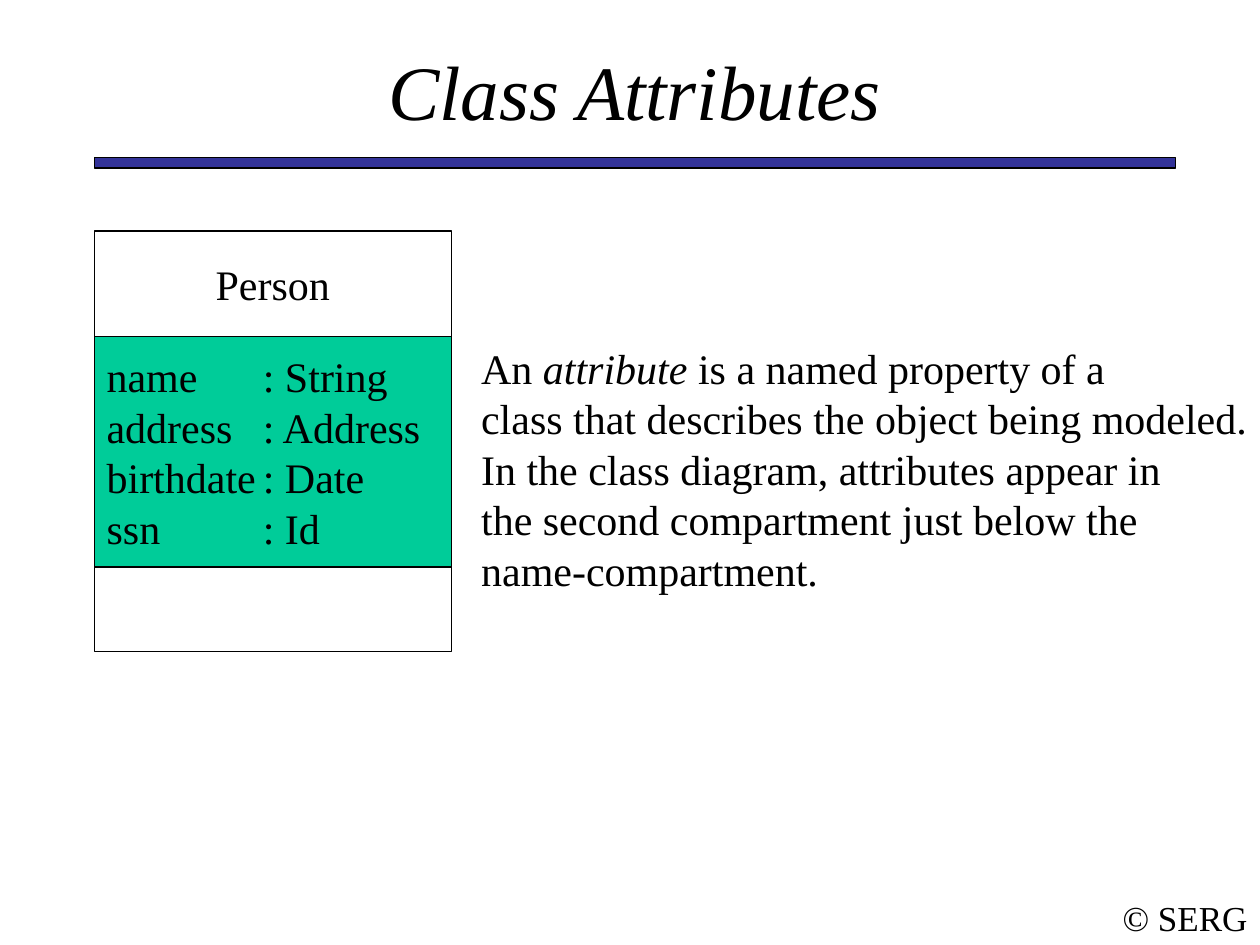
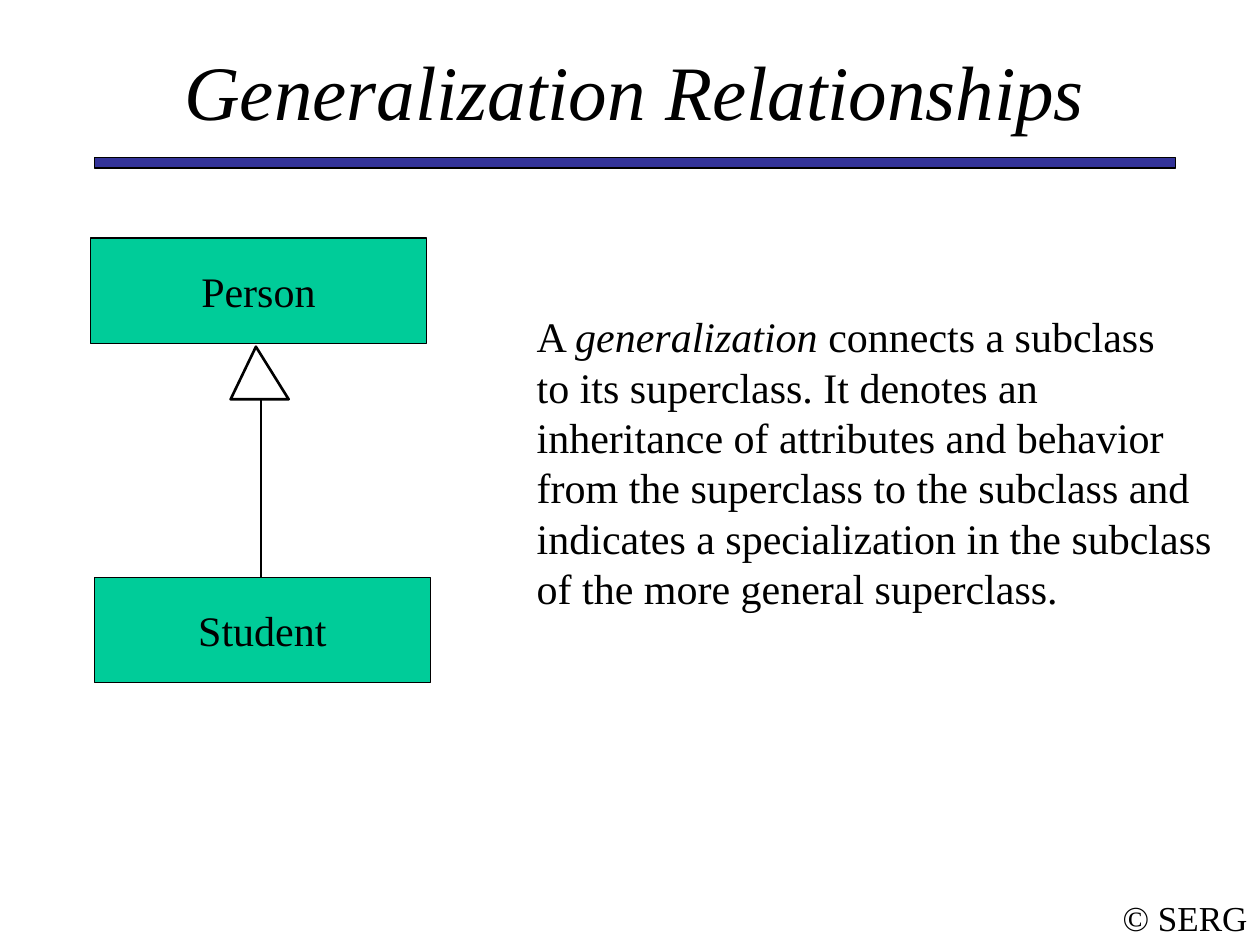
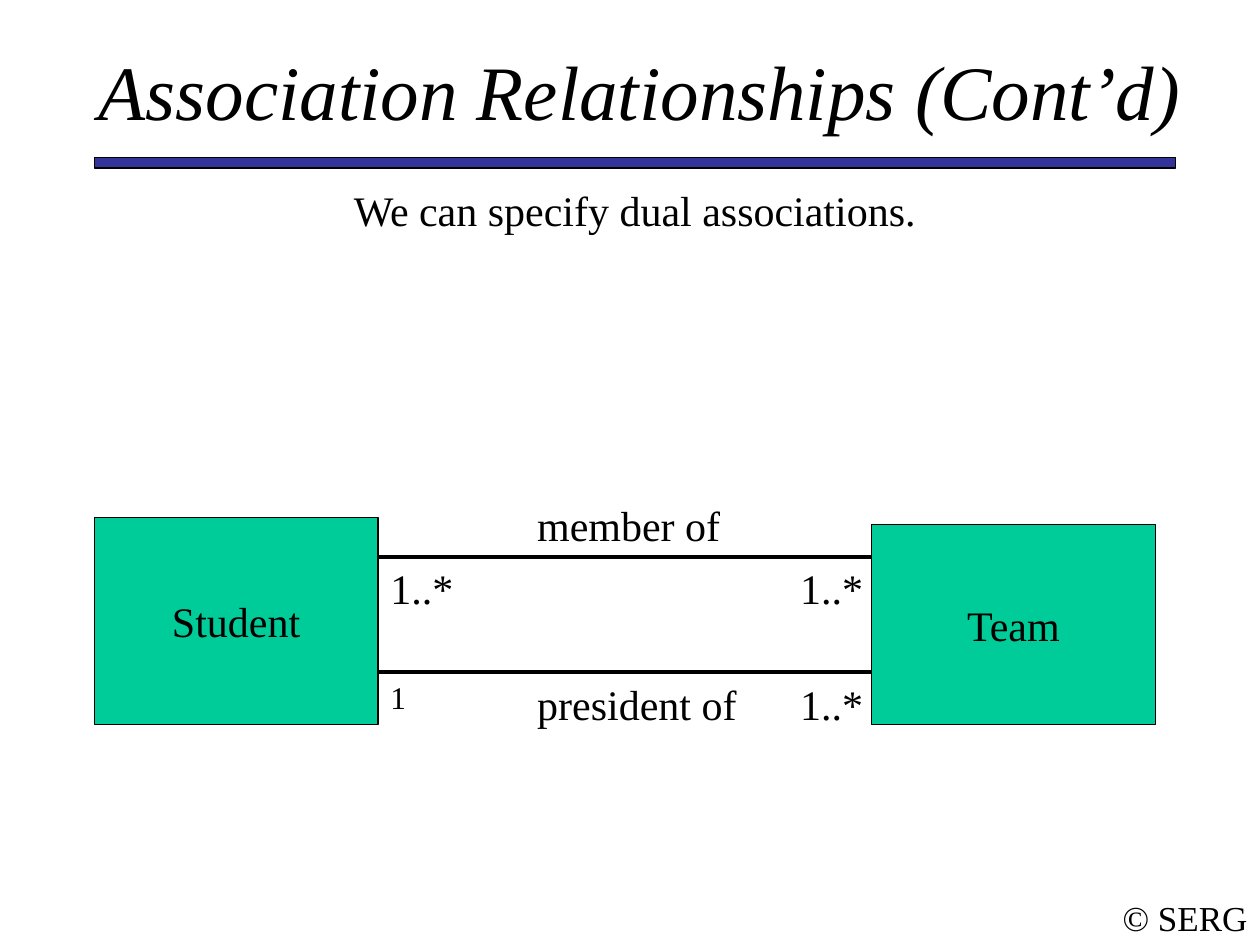
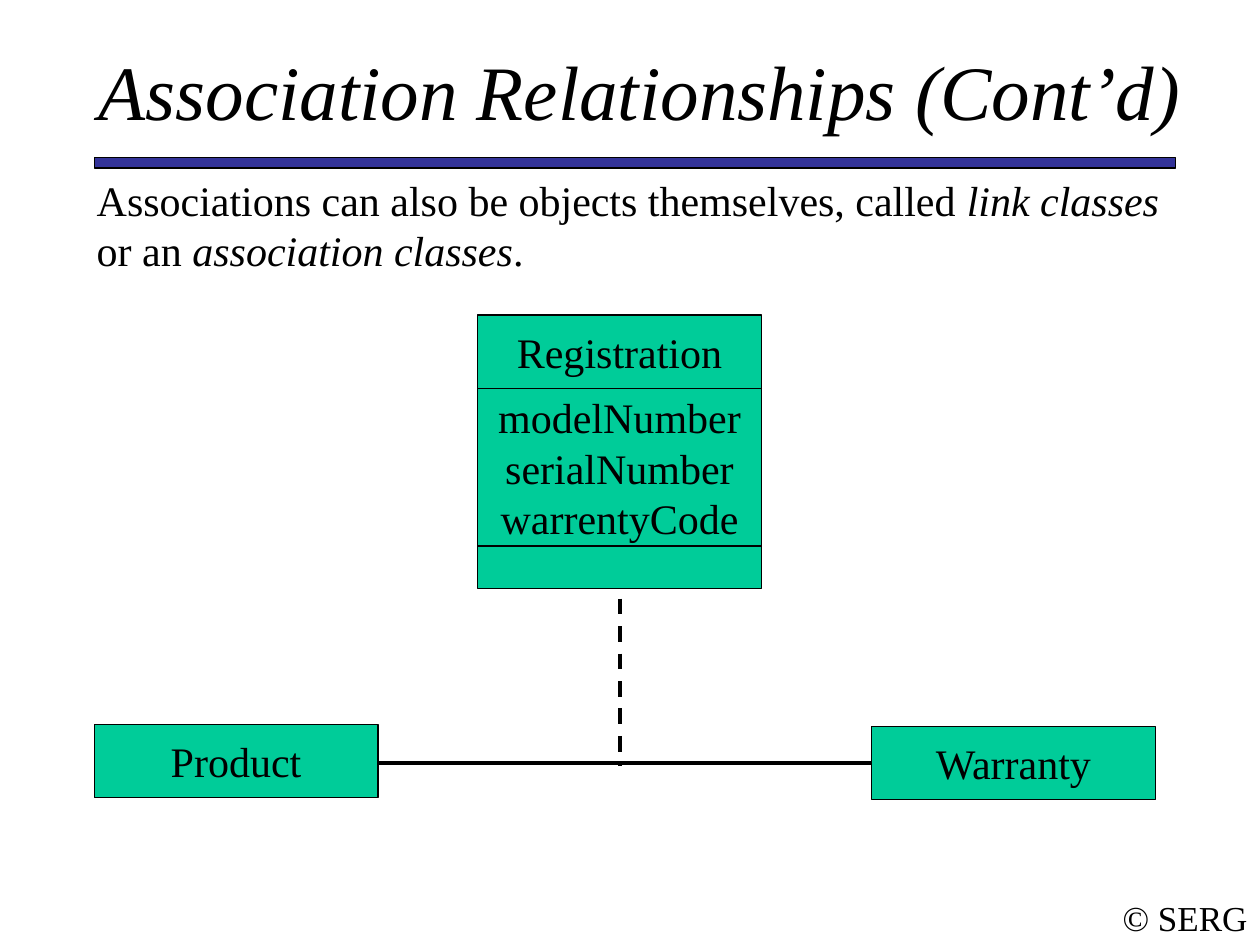
from dataclasses import dataclass
from typing import Optional

import pptx
import pptx.dml.color
import pptx.enum.dml
import pptx.enum.shapes
import pptx.enum.text
import pptx.oxml.ns
import pptx.shapes.base
import pptx.slide
import pptx.text.text
import pptx.util
from lxml import etree
from pptx.util import Cm

Align = pptx.enum.text.PP_ALIGN
Anchor = pptx.enum.text.MSO_ANCHOR
RGB = pptx.dml.color.RGBColor


@dataclass(frozen=True)
class Theme:
    font: str = "Times New Roman"
    ink: RGB = RGB(0x00, 0x00, 0x00)
    paper: RGB = RGB(0xFF, 0xFF, 0xFF)
    rule: RGB = RGB(0x33, 0x33, 0x99)
    highlight: RGB = RGB(0x00, 0xCC, 0x99)
    title_size: float = 44
    body_size: float = 24
    footer_size: float = 20
    small_size: float = 18
    outline: float = 0.75
    arrow_line: float = 1.5
    link_line: float = 2.25


THEME = Theme()


@dataclass(frozen=True)
class Area:
    """A rectangle in centimetres."""
    left: float
    top: float
    width: float
    height: float

    def lengths(self) -> tuple[Cm, Cm, Cm, Cm]:
        return Cm(self.left), Cm(self.top), Cm(self.width), Cm(self.height)


@dataclass(frozen=True)
class Caption:
    """Free text; words between underscores are set in italics."""
    area: Area
    lines: tuple[str, ...]
    size: float = THEME.body_size
    align: Align = Align.LEFT
    anchor: Anchor = Anchor.TOP
    wrap: bool = True
    grow: bool = True
    italic: bool = False


@dataclass(frozen=True)
class Compartment:
    height: float
    lines: tuple[str, ...] = ()
    fill: RGB = THEME.highlight
    tab: Optional[float] = None  # left-aligned text with a tab stop here


@dataclass(frozen=True)
class ClassBox:
    """A class, drawn as compartments stacked from the top."""
    left: float
    top: float
    width: float
    compartments: tuple[Compartment, ...]


@dataclass(frozen=True)
class Link:
    start: tuple[float, float]
    end: tuple[float, float]
    width: float = THEME.link_line
    dashed: bool = False


MARGIN = 1.9
RULE_AREA = Area(MARGIN, 3.18, 21.8, 0.21)
TITLE_AREA = Area(MARGIN, 1.06, 21.8, 1.48)
WIDE_TITLE_AREA = Area(1.7, 1.06, 22.42, 1.48)
FOOTER = Caption(Area(22.38, 17.94, 3.02, 1.11), ("© SERG",), THEME.footer_size,
                 Align.CENTER, Anchor.MIDDLE, wrap=False)

# Association diagrams: two classes at the sides with links between them.
END_WIDTH = 5.72
LEFT_END = MARGIN
RIGHT_END = 17.57
LINK_START = LEFT_END + END_WIDTH


def write_lines(frame: pptx.text.text.TextFrame, lines: tuple[str, ...], size: float,
                align: Align, italic: bool = False, tab: Optional[float] = None) -> None:
    for index, line in enumerate(lines):
        paragraph = frame.paragraphs[0] if index == 0 else frame.add_paragraph()
        if tab is not None:
            stops = etree.SubElement(paragraph._p.get_or_add_pPr(),
                                     pptx.oxml.ns.qn("a:tabLst"))
            etree.SubElement(stops, pptx.oxml.ns.qn("a:tab"), pos=str(Cm(tab)), algn="l")
        paragraph.alignment = align
        for part, words in enumerate(line.split("_")):
            run = paragraph.add_run()
            run.text = words
            run.font.name = THEME.font
            run.font.size = pptx.util.Pt(size)
            run.font.color.rgb = THEME.ink
            run.font.italic = italic or part % 2 == 1


def paint(shape: pptx.shapes.base.BaseShape, fill: RGB, width: float) -> None:
    shape.shadow.inherit = False
    shape.fill.solid()
    shape.fill.fore_color.rgb = fill
    shape.line.color.rgb = THEME.ink
    shape.line.width = pptx.util.Pt(width)


def draw_rectangle(slide: pptx.slide.Slide, area: Area,
                   fill: RGB) -> pptx.shapes.base.BaseShape:
    rectangle = slide.shapes.add_shape(pptx.enum.shapes.MSO_SHAPE.RECTANGLE,
                                       *area.lengths())
    paint(rectangle, fill, THEME.outline)
    return rectangle


def draw_caption(slide: pptx.slide.Slide, caption: Caption) -> None:
    frame = slide.shapes.add_textbox(*caption.area.lengths()).text_frame
    frame.word_wrap = caption.wrap
    frame.vertical_anchor = caption.anchor
    if caption.grow:
        frame.auto_size = pptx.enum.text.MSO_AUTO_SIZE.SHAPE_TO_FIT_TEXT
    write_lines(frame, caption.lines, caption.size, caption.align, caption.italic)


def draw_class(slide: pptx.slide.Slide, box: ClassBox) -> None:
    top = box.top
    for part in box.compartments:
        area = Area(box.left, top, box.width, part.height)
        frame = draw_rectangle(slide, area, part.fill).text_frame
        frame.word_wrap = True
        frame.vertical_anchor = Anchor.MIDDLE
        align = Align.CENTER if part.tab is None else Align.LEFT
        write_lines(frame, part.lines, THEME.body_size, align, tab=part.tab)
        top += part.height


def draw_link(slide: pptx.slide.Slide, link: Link) -> None:
    connector = slide.shapes.add_connector(
        pptx.enum.shapes.MSO_CONNECTOR.STRAIGHT,
        *(Cm(value) for value in link.start + link.end))
    connector.line.color.rgb = THEME.ink
    connector.line.width = pptx.util.Pt(link.width)
    if link.dashed:
        connector.line.dash_style = pptx.enum.dml.MSO_LINE.DASH
    etree.SubElement(connector._element.spPr, pptx.oxml.ns.qn("a:effectLst"))


def draw_triangle(slide: pptx.slide.Slide, *corners: tuple[float, float]) -> None:
    first, *others = [(Cm(x), Cm(y)) for x, y in corners]
    builder = slide.shapes.build_freeform(*first)
    builder.add_line_segments(others, close=True)
    paint(builder.convert_to_shape(), THEME.paper, THEME.arrow_line)


def add_slide(deck: pptx.presentation.Presentation, title: str,
              title_area: Area = TITLE_AREA) -> pptx.slide.Slide:
    """Add a blank slide with the footer, rule and title all slides share."""
    slide = deck.slides.add_slide(deck.slide_layouts[6])
    slide.background.fill.solid()
    slide.background.fill.fore_color.rgb = THEME.paper
    draw_caption(slide, FOOTER)
    draw_rectangle(slide, RULE_AREA, THEME.rule)
    draw_caption(slide, Caption(title_area, (title,), THEME.title_size, Align.CENTER,
                                Anchor.MIDDLE, wrap=False, grow=False, italic=True))
    return slide


def add_class_attributes(deck: pptx.presentation.Presentation) -> None:
    slide = add_slide(deck, "Class Attributes")
    attributes = {"name": "String", "address": "Address", "birthdate": "Date", "ssn": "Id"}
    draw_class(slide, ClassBox(MARGIN, 4.66, 7.2, (
        Compartment(2.12, ("Person",), THEME.paper),
        Compartment(4.65, tuple(f"{name}\t: {kind}" for name, kind in attributes.items()),
                    tab=3.15),
        Compartment(1.7, fill=THEME.paper),
    )))
    draw_caption(slide, Caption(Area(9.45, 6.78, 15.95, 5.33), (
        "An _attribute_ is a named property of a",
        "class that describes the object being modeled.",
        "In the class diagram, attributes appear in",
        "the second compartment just below the",
        "name-compartment.",
    ), wrap=False))


def add_generalization(deck: pptx.presentation.Presentation) -> None:
    slide = add_slide(deck, "Generalization Relationships")
    for left, top, name in ((1.82, 4.8, "Person"), (MARGIN, 11.64, "Student")):
        draw_class(slide, ClassBox(left, top, 6.78, (Compartment(2.12, (name,)),)))
    draw_caption(slide, Caption(Area(10.57, 6.14, 14.12, 6.35), (
        "A _generalization_ connects a subclass",
        "to its superclass. It denotes an",
        "inheritance of attributes and behavior",
        "from the superclass to the subclass and",
        "indicates a specialization in the subclass",
        "of the more general superclass.",
    ), wrap=False))
    arrow_base = 8.05
    draw_link(slide, Link((5.26, arrow_base), (5.26, 11.64), THEME.arrow_line))
    draw_triangle(slide, (5.16, 6.99), (4.65, arrow_base), (5.82, arrow_base))


def add_dual_associations(deck: pptx.presentation.Presentation) -> None:
    slide = add_slide(deck, "Association Relationships (Cont’d)", WIDE_TITLE_AREA)
    draw_caption(slide, Caption(Area(MARGIN, 3.6, 21.8, 1.27),
                                ("We can specify dual associations.",),
                                align=Align.CENTER))
    member_y, president_y = 11.22, 13.55
    for y in (member_y, president_y):
        draw_link(slide, Link((LINK_START, y), (RIGHT_END, y)))
    for left, top, height, name in ((RIGHT_END, 10.58, 4.02, "Team"),
                                    (LEFT_END, 10.44, 4.16, "Student")):
        draw_class(slide, ClassBox(left, top, END_WIDTH, (Compartment(height, (name,)),)))

    name_left, far_left = 10.58, 15.88
    label_height = 1.27
    for left, top, width, label in (
        (name_left, member_y - label_height, 4.87, "member of"),
        (LINK_START, member_y, 1.9, "1..*"),
        (far_left, member_y, 1.9, "1..*"),
        (name_left, president_y, 4.87, "president of"),
        (far_left, president_y, 1.9, "1..*"),
    ):
        draw_caption(slide, Caption(Area(left, top, width, label_height), (label,)))
    draw_caption(slide, Caption(Area(LINK_START, president_y, 1.06, 1.02), ("1",),
                                THEME.small_size))


def add_link_classes(deck: pptx.presentation.Presentation) -> None:
    slide = add_slide(deck, "Association Relationships (Cont’d)", WIDE_TITLE_AREA)
    draw_caption(slide, Caption(Area(1.7, 3.39, 22.53, 2.29), (
        "Associations can also be objects themselves, called _link classes_"
        " or an _association classes_.",)))
    name_height = 1.48
    draw_link(slide, Link((LINK_START, 15.39), (RIGHT_END, 15.39)))
    for left, top, name in ((RIGHT_END, 14.64, "Warranty"), (LEFT_END, 14.6, "Product")):
        draw_class(slide, ClassBox(left, top, END_WIDTH,
                                   (Compartment(name_height, (name,)),)))
    draw_link(slide, Link((12.49, 12.07), (12.49, 15.45), dashed=True))
    draw_class(slide, ClassBox(9.63, 6.35, END_WIDTH, (
        Compartment(name_height, ("Registration",)),
        Compartment(3.18, ("modelNumber", "serialNumber", "warrentyCode")),
        Compartment(0.85),
    )))


def main() -> None:
    deck = pptx.Presentation()
    deck.slide_width, deck.slide_height = Cm(25.4), Cm(19.05)
    add_class_attributes(deck)
    add_generalization(deck)
    add_dual_associations(deck)
    add_link_classes(deck)
    deck.save("out.pptx")


if __name__ == "__main__":
    main()
